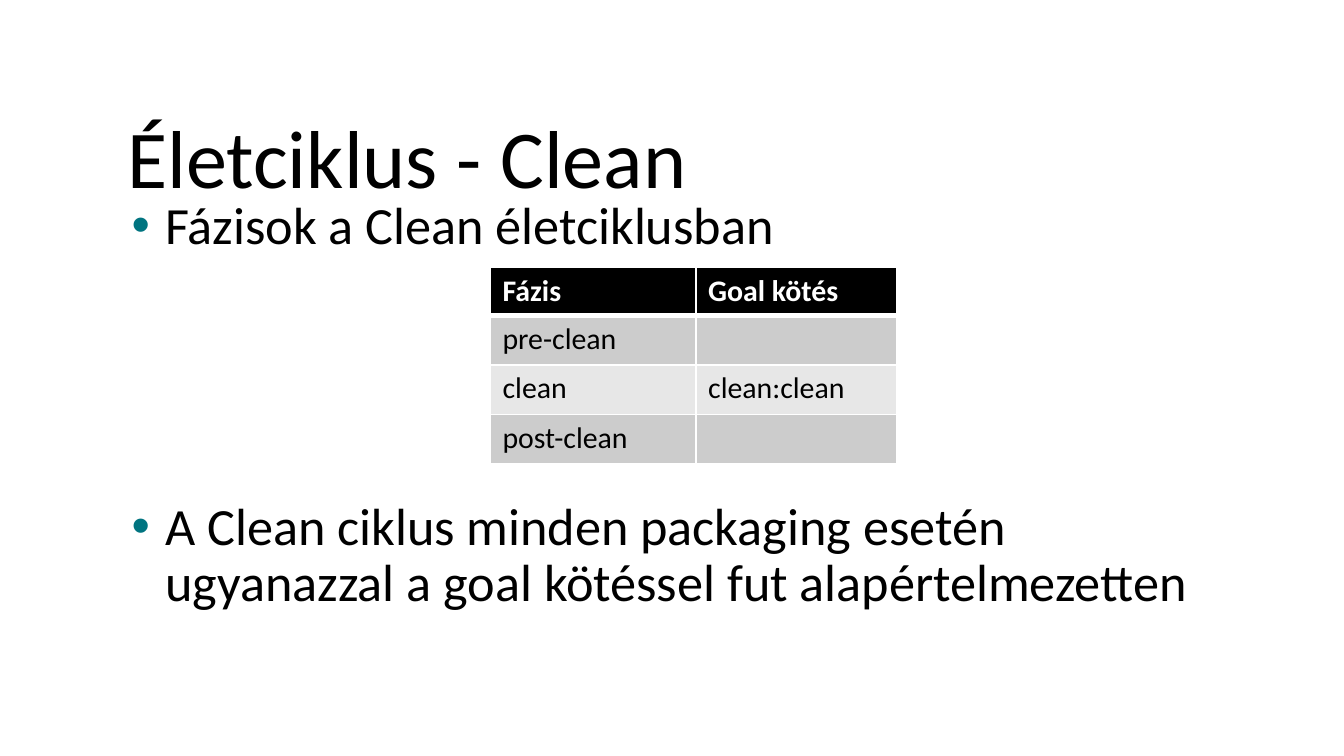
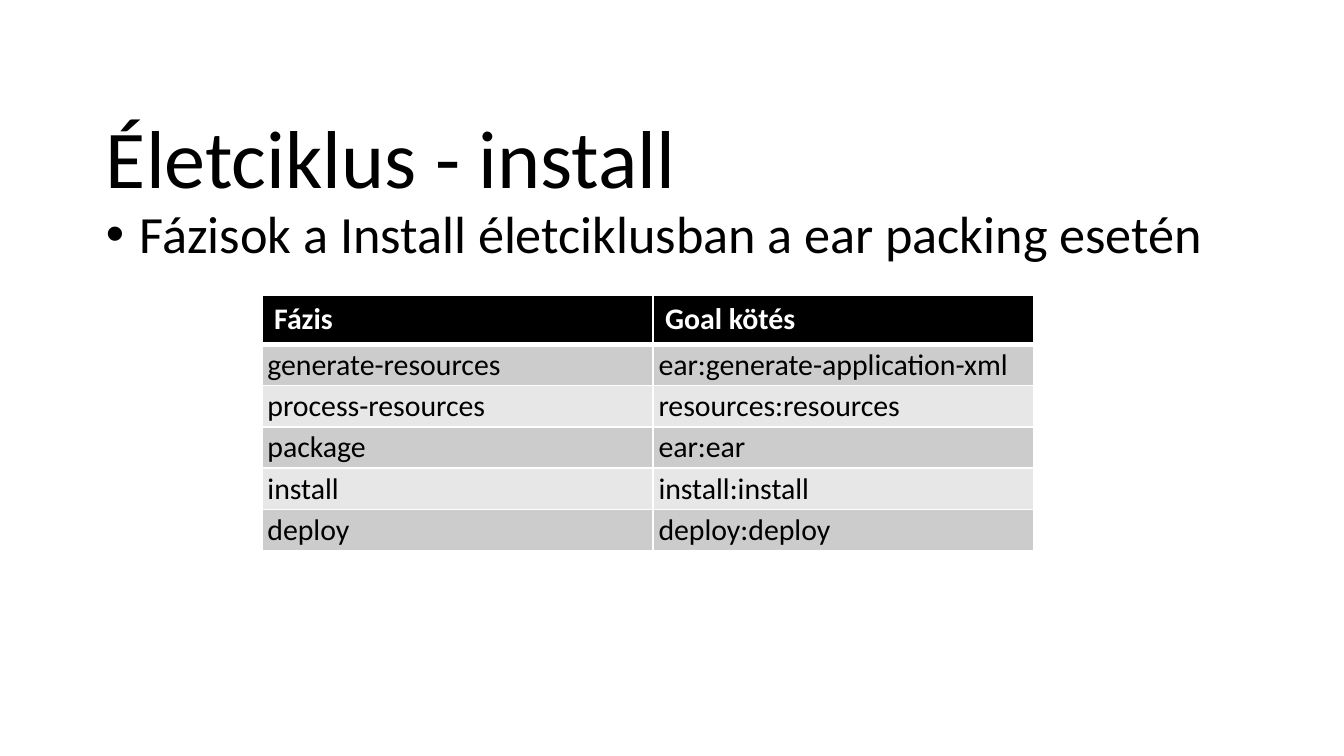
from dataclasses import dataclass

from pptx import Presentation
from pptx.dml.color import RGBColor as RGB
from pptx.enum.text import MSO_ANCHOR as Anchor
from pptx.oxml.ns import qn
from pptx.util import Inches, Pt
from lxml.etree import SubElement as Sub


@dataclass(frozen=True)
class Theme:
    font: str = "Calibri"
    black: str = "000000"
    white: str = "FFFFFF"
    teal: str = "007480"
    bands: tuple = ("CCCCCC", "E7E7E7")
    title: int = 44
    body: int = 28
    cell: int = 16
    rule: int = 1
    thick: int = 3


THEME = Theme()
WIDE = (0.09, 0.04)
TIGHT = (0.04, 0.02)
HEAD = ("Fázis", "Goal kötés")
HEAD_HIGH = 0.36


def add_run(para, text, size, color=THEME.black, bold=False):
    run = para.add_run()
    run.text = text
    font = run.font
    font.name, font.size, font.bold = THEME.font, Pt(size), bold
    font.color.rgb = RGB.from_string(color)


def add_box(slide, left, top, width, height, pad=(0.1, 0.05)):
    box = slide.shapes.add_textbox(*map(Inches, (left, top, width, height)))
    frame = box.text_frame
    frame.word_wrap = True
    set_pad(frame, pad)
    return frame


def set_pad(item, pad):
    """Set the side and top/bottom margins of a text frame or a cell."""
    item.margin_left = item.margin_right = Inches(pad[0])
    item.margin_top = item.margin_bottom = Inches(pad[1])


def add_title(slide, left, text):
    frame = add_box(slide, left, 0.66, 8.62, 1.09)
    frame.vertical_anchor = Anchor.MIDDLE
    para = frame.paragraphs[0]
    para.line_spacing = 0.9
    add_run(para, text, THEME.title)


def add_bullet(para, text, gap=10, color=THEME.black):
    para.line_spacing = 0.9
    para.space_before = Pt(gap)
    add_run(para, text, THEME.body)
    props = para._p.get_or_add_pPr()
    props.set("marL", str(Inches(0.25)))
    props.set("indent", str(-Inches(0.25)))
    tint = Sub(props, qn("a:buClr"))
    Sub(tint, qn("a:srgbClr"), val=color)
    Sub(props, qn("a:buFont"), typeface="Arial")
    Sub(props, qn("a:buChar"), char="•")


def set_edge(cell, side, width):
    line = Sub(cell._tc.get_or_add_tcPr(), qn("a:ln" + side), w=str(Pt(width)))
    fill = Sub(line, qn("a:solidFill"))
    Sub(fill, qn("a:srgbClr"), val=THEME.white)


def fill_cell(cell, text, row, pad):
    head = row == 0
    set_pad(cell, WIDE if head else pad)
    for side in "LRTB":
        bold = (row, side) in ((0, "B"), (1, "T"))
        set_edge(cell, side, THEME.thick if bold else THEME.rule)
    cell.fill.solid()
    back = THEME.black if head else THEME.bands[(row - 1) % 2]
    cell.fill.fore_color.rgb = RGB.from_string(back)
    para = cell.text_frame.paragraphs[0]
    if text:
        add_run(para, text, THEME.cell, THEME.white if head else THEME.black, head)
    else:
        Sub(para._p, qn("a:endParaRPr"), sz=str(THEME.cell * 100))


def add_grid(slide, left, top, cols, height, rows, pad):
    """Add a table with a black head row above equal, banded rows."""
    data = (HEAD, *rows)
    highs = [HEAD_HIGH] + [(height - HEAD_HIGH) / len(rows)] * len(rows)
    size = map(Inches, (left, top, sum(cols), height))
    grid = slide.shapes.add_table(len(data), len(cols), *size).table
    for col, width in zip(grid.columns, cols):
        col.width = Inches(width)
    for row, high in zip(grid.rows, highs):
        row.height = Inches(high)
    for i, line in enumerate(data):
        for j, text in enumerate(line):
            fill_cell(grid.cell(i, j), text, i, pad)


def add_clean(slide):
    add_title(slide, 0.85, "Életciklus - Clean")
    body = add_box(slide, 0.89, 1.44, 8.1, 4.01, WIDE)
    add_bullet(body.paragraphs[0], "Fázisok a Clean életciklusban", color=THEME.teal)
    add_bullet(
        body.add_paragraph(),
        "A Clean ciklus minden packaging esetén "
        "ugyanazzal a goal kötéssel fut alapértelmezetten",
        gap=131,
        color=THEME.teal,
    )
    rows = (("pre-clean", ""), ("clean", "clean:clean"), ("post-clean", ""))
    add_grid(slide, 3.65, 1.99, (1.53, 1.49), 1.46, rows, WIDE)


def add_install(slide):
    add_title(slide, 0.69, "Életciklus - install")
    body = add_box(slide, 0.69, 1.5, 8.62, 3.57)
    add_bullet(body.paragraphs[0], "Fázisok a Install életciklusban a ear packing esetén")
    rows = (
        ("generate-resources", "ear:generate-application-xml"),
        ("process-resources", "resources:resources"),
        ("package", "ear:ear"),
        ("install", "install:install"),
        ("deploy", "deploy:deploy"),
    )
    add_grid(slide, 1.95, 2.2, (2.91, 2.83), 1.9, rows, TIGHT)


def main():
    deck = Presentation()
    deck.slide_width = Inches(10)
    deck.slide_height = deck.slide_width * 9 // 16
    for build in (add_clean, add_install):
        build(deck.slides.add_slide(deck.slide_layouts[6]))
    deck.save("out.pptx")


if __name__ == "__main__":
    main()
